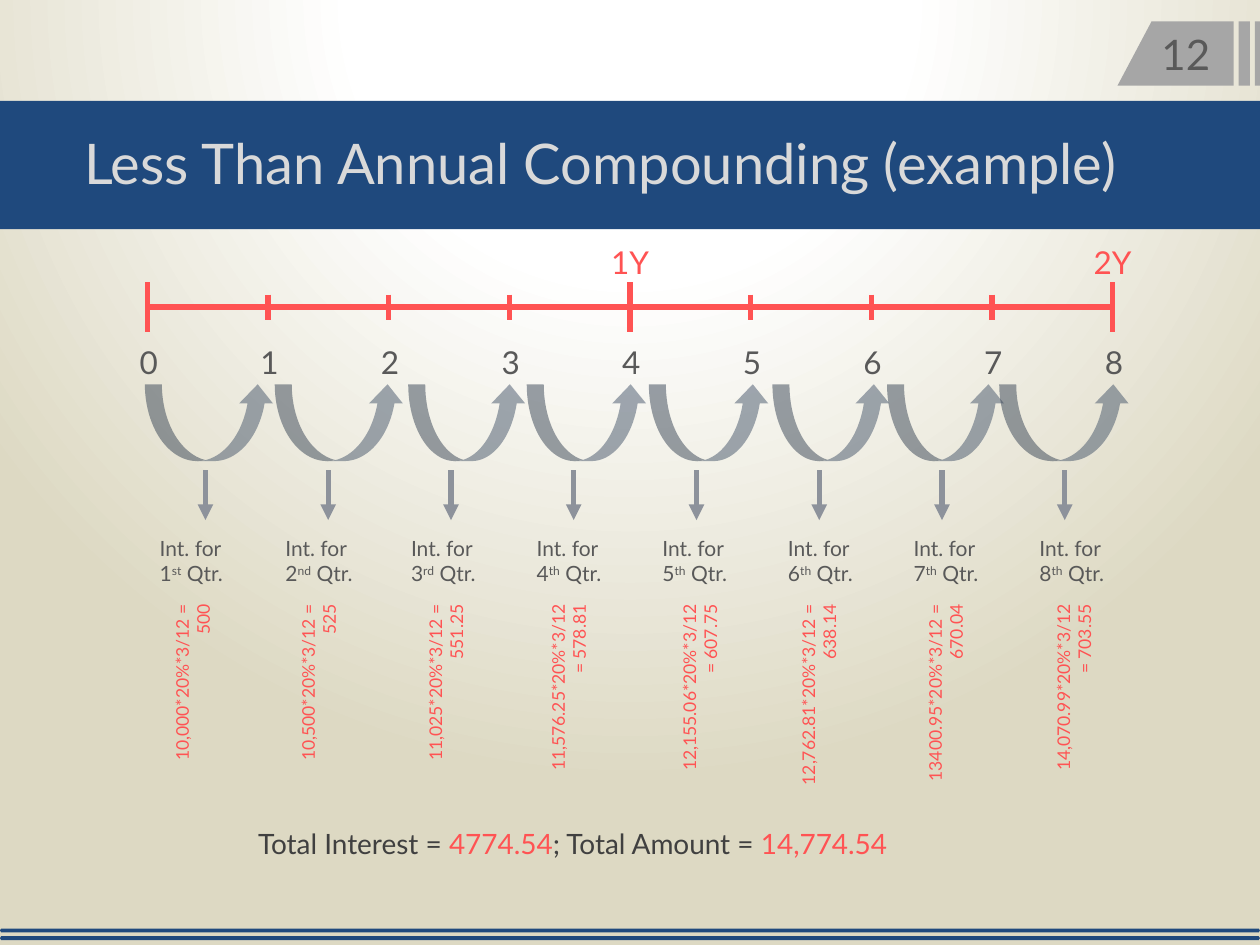
from dataclasses import dataclass

from lxml import etree
from pptx import Presentation, util as u
from pptx.dml.color import RGBColor
from pptx.enum import shapes, text
from pptx.oxml import ns, parse_xml


@dataclass(frozen=True)
class Theme:
    font: str = "Lato"
    navy: str = "1F497D"
    sand: str = "DDD9C3"
    white: str = "FFFFFF"
    pale: str = "D9D9D9"
    tab: str = "A6A6A6"
    gray: str = "595959"
    dark: str = "404040"
    red: str = "FF5353"
    slate: str = "44546A"
    steel: str = "8D929B"
    title: int = 32
    page: int = 24
    label: int = 18
    total: int = 16
    note: int = 12
    sum: int = 10


class Deck:
    """Draws styled elements on the current slide, in points."""

    def __init__(self, theme):
        self.theme = theme
        self.prs = Presentation()
        self.prs.slide_width, self.prs.slide_height = u.Pt(720), u.Pt(540)
        self.slide = self.prs.slides.add_slide(self.prs.slide_layouts[6])
        self.items = self.slide.shapes

    def glow(self, stops):
        self.slide.background.fill.gradient()
        old = self.slide.element.find(".//" + ns.qn("a:gradFill"))
        marks = "".join(
            f'<a:gs pos="{pos * 1000}"><a:srgbClr val="{color}"/></a:gs>'
            for pos, color in stops)
        new = parse_xml(
            f'<a:gradFill {ns.nsdecls("a")} rotWithShape="1"><a:gsLst>{marks}</a:gsLst>'
            '<a:path path="circle"><a:fillToRect l="50000" t="-80000" r="50000" b="180000"/>'
            '</a:path></a:gradFill>')
        old.getparent().replace(old, new)

    def paint(self, shape, color):
        shape.shadow.inherit = False
        shape.fill.solid()
        shape.fill.fore_color.rgb = RGBColor.from_string(color)
        shape.line.fill.background()
        return shape

    def shape(self, kind, x, y, w, h, color):
        return self.paint(
            self.items.add_shape(kind, u.Pt(x), u.Pt(y), u.Pt(w), u.Pt(h)), color)

    def outline(self, loops, color):
        path = None
        for loop in loops:
            first, *rest = [(u.Pt(x), u.Pt(y)) for x, y in loop]
            if path is None:
                path = self.items.build_freeform(*first)
            else:
                path.move_to(*first)
            path.add_line_segments(rest, close=True)
        return self.paint(path.convert_to_shape(), color)

    def swoop(self, x, y, w, h):
        arrow = self.shape(shapes.MSO_SHAPE.CURVED_DOWN_ARROW, x, y, w, h, self.theme.slate)
        for i, value in enumerate((0.222, 0.442, 0.25)):
            arrow.adjustments[i] = value
        arrow.element.spPr.find(ns.qn("a:xfrm")).set("flipV", "1")
        color = arrow.element.spPr.find(".//" + ns.qn("a:srgbClr"))
        etree.SubElement(color, ns.qn("a:alpha"), val="50000")

    def line(self, x1, y1, x2, y2, color, head=False):
        line = self.items.add_connector(
            shapes.MSO_CONNECTOR.STRAIGHT, u.Pt(x1), u.Pt(y1), u.Pt(x2), u.Pt(y2))
        line.line.width = u.Pt(3)
        line.line.color.rgb = RGBColor.from_string(color)
        props = line.element.spPr
        if head:
            etree.SubElement(props.find(ns.qn("a:ln")), ns.qn("a:tailEnd"), type="triangle")
        etree.SubElement(props, ns.qn("a:effectLst"))

    def text(self, x, y, w, h, runs, size, color=None, turn=0, align=None):
        """Adds a text box whose runs are (words, color, baseline) tuples."""
        box = self.items.add_textbox(u.Pt(x), u.Pt(y), u.Pt(w), u.Pt(h))
        box.rotation = turn
        frame = box.text_frame
        frame.word_wrap = True
        frame.auto_size = text.MSO_AUTO_SIZE.SHAPE_TO_FIT_TEXT
        para = frame.paragraphs[0]
        para.alignment = align
        para.font.name, para.font.size = self.theme.font, u.Pt(size)
        if color:
            para.font.color.rgb = RGBColor.from_string(color)
        for words, tint, base in runs:
            run = para.add_run()
            run.text = words
            if tint:
                run.font.color.rgb = RGBColor.from_string(tint)
            if base:
                run.font._element.set("baseline", str(base * 1000))

    def word(self, x, y, w, h, words, size, color, **more):
        self.text(x, y, w, h, [(words, None, 0)], size, color, **more)


def frame(deck):
    """Draws the background, title band, page tab and footer rules."""
    t = deck.theme
    deck.glow([(0, t.white), (35, t.white), (100, t.sand)])
    deck.shape(shapes.MSO_SHAPE.RECTANGLE, 0, 57.6, 720, 73.4, t.navy)
    deck.outline([[(0, y + 1.1), (0.7, y), (719.3, y), (720, y + 1.1),
                   (719.3, y + 2.2), (0.7, y + 2.2)] for y in (535, 530.6)], t.navy)
    top, base = 12.2, 49
    tabs = [(717.1, 717.1, 720), (707.8, 707.8, 714.2), (638.6, 658.1, 704.9)]
    deck.outline([[(high, top), (right, top), (right, base), (low, base)]
                  for low, high, right in tabs], t.tab)
    deck.word(656.6, 13, 48.2, 36, "12", t.page, t.gray)
    deck.word(41, 69.8, 638, 46, "Less Than Annual Compounding (example)", t.title, t.pale)


def scale(deck):
    """Draws the two-year time line with its quarter ticks."""
    t, left, step, mid = deck.theme, 84.3, 68.94, 175.5
    for i in range(9):
        deck.word(72.7 + i * step, 192.2, 29.5, 29, str(i), t.label, t.gray)
    deck.line(left, mid, 637.2, mid, t.red)
    for i in range(9):
        x, half = left + i * step, 7.2 if i % 4 else 14.2
        deck.line(x, mid - half, x, mid + half, t.red)
    for year in (1, 2):
        deck.word(66.4 + year * 4 * step, 135.4, 38.9, 29, f"{year}Y", t.label, t.red)


def quarters(deck):
    """Draws the arrows, label and interest sum of each quarter."""
    t = deck.theme
    rows = [
        (82.8, 74.2, "st", 110.2, 106.6, "10,000*20%*3/12 = 500"),
        (157, 74.2, "nd", 182.2, 106.6, "10,500*20%*3/12 = 525"),
        (233.3, 67.7, "rd", 254.9, 108, "11,025*20%*3/12 = 551.25"),
        (301, 69.1, "th", 325.1, 116, "11,576.25*20%*3/12 = 578.81"),
        (370.8, 69.1, "th", 400, 116, "12,155.06*20%*3/12 = 607.75"),
        (441.4, 67.7, "th", 468, 121, "12,762.81*20%*3/12 = 638.14"),
        (506.9, 67.7, "th", 540.4, 116, "13400.95*20%*3/12 = 670.04"),
        (571, 74.9, "th", 613.8, 116, "14,070.99*20%*3/12 = 703.55"),
    ]
    for i, (x, w, suffix, mid, span, total) in enumerate(rows):
        deck.swoop(x, 219.6, w, 43.9)
        down = 117.4 + i * 70.15
        deck.line(down, 268.8, down, 297.2, t.steel, head=True)
        label = [(f"Int. for {i + 1}", None, 0), (suffix, None, 30), (" Qtr.", None, 0)]
        deck.text(84.2 + i * 71.8, 302.4, 58.3, 36, label, t.note, t.gray)
        deck.word(mid - span / 2, 338.4 + span / 2 - 15.8, span, 31.6, total, t.sum, t.red,
                  turn=270, align=text.PP_ALIGN.RIGHT)


def main():
    deck = Deck(Theme())
    t = deck.theme
    frame(deck)
    scale(deck)
    quarters(deck)
    deck.text(140.4, 468.7, 375.8, 26.6, [
        ("Total Interest = ", t.dark, 0), ("4774.54", t.red, 0),
        ("; Total Amount = ", t.dark, 0), ("14,774.54", t.red, 0)], t.total)
    deck.prs.save("out.pptx")


if __name__ == "__main__":
    main()
